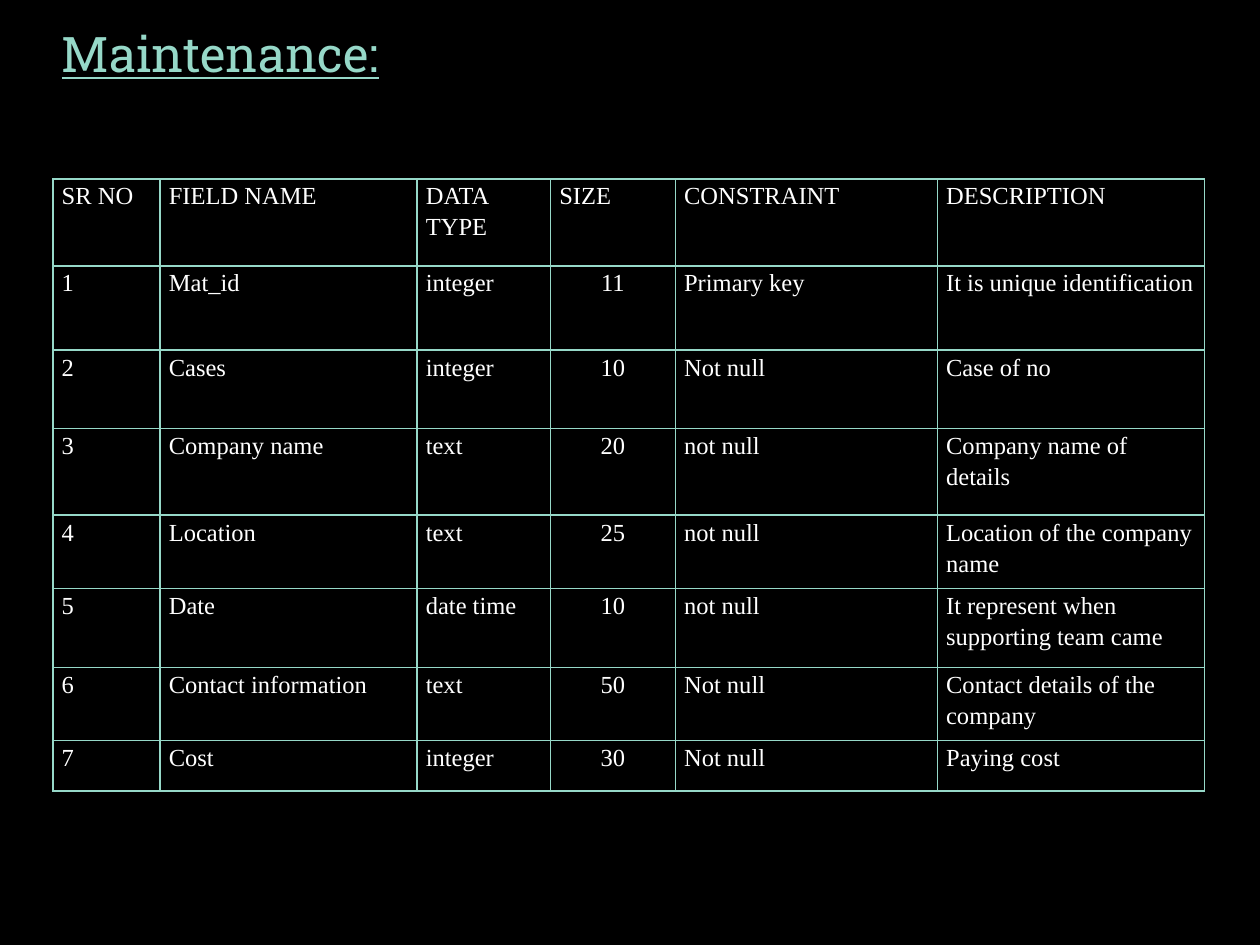
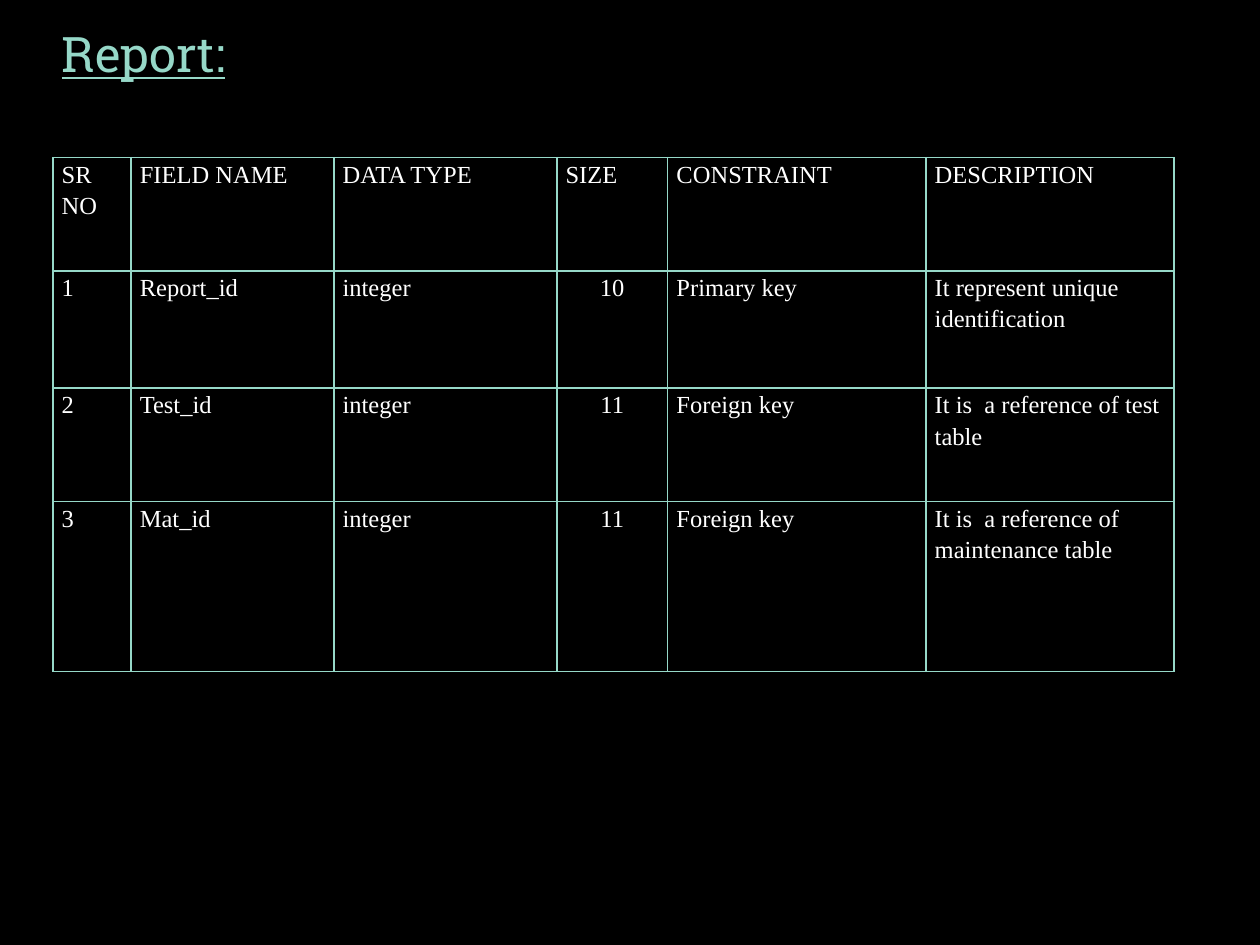
from dataclasses import dataclass

from lxml import etree
from pptx import Presentation
from pptx.dml.color import RGBColor
from pptx.enum.text import MSO_ANCHOR, MSO_AUTO_SIZE, PP_ALIGN
from pptx.oxml.ns import qn
from pptx.slide import Slide
from pptx.table import _Cell
from pptx.util import Inches, Pt

BLACK = RGBColor(0x00, 0x00, 0x00)
WHITE = RGBColor(0xFF, 0xFF, 0xFF)
MINT = RGBColor(0x96, 0xD8, 0xC8)

LEFT = PP_ALIGN.LEFT
CENTER = PP_ALIGN.CENTER
JUSTIFY = PP_ALIGN.JUSTIFY
TOP = MSO_ANCHOR.TOP
NO_AUTOFIT = MSO_AUTO_SIZE.NONE

TITLE_FONT = "Roboto Slab"
TABLE_FONT = "Times New Roman"
TITLE_ONLY_LAYOUT = 5
TITLE_AREA = (0.39, 0.14, 5.23, 0.57)
TABLE_LEFT = 0.42
CELL_MARGIN = 0.07
BORDER_WIDTH = Pt(1)
BORDER_SIDES = ("a:lnL", "a:lnR", "a:lnT", "a:lnB")

HEADINGS = ("SR NO", "FIELD NAME", "DATA TYPE", "SIZE", "CONSTRAINT", "DESCRIPTION")
SIZE_COLUMN = HEADINGS.index("SIZE")


@dataclass(frozen=True)
class Field:
    name: str
    data_type: str
    size: int
    constraint: str
    description: str


@dataclass(frozen=True)
class DataTable:
    title: str
    top: float
    column_widths: tuple[float, ...]
    row_heights: tuple[float, ...]
    fields: tuple[Field, ...]

    def rows(self) -> list[tuple[str, ...]]:
        """Heading row followed by the numbered fields."""
        numbered = [
            (str(number), field.name, field.data_type, str(field.size),
             field.constraint, field.description)
            for number, field in enumerate(self.fields, start=1)
        ]
        return [HEADINGS, *numbered]


DATA_TABLES = (
    DataTable(
        title="Maintenance:",
        top=1.42,
        column_widths=(0.85, 2.04, 1.06, 0.99, 2.08, 2.12),
        row_heights=(0.69, 0.67, 0.62, 0.69, 0.58, 0.63, 0.58, 0.4),
        fields=(
            Field("Mat_id", "integer", 11, "Primary key", "It is unique identification"),
            Field("Cases", "integer", 10, "Not null", "Case of no"),
            Field("Company name", "text", 20, "not null", "Company name of details"),
            Field("Location", "text", 25, "not null", "Location of the company name"),
            Field("Date", "date time", 10, "not null",
                  "It represent when supporting team came"),
            Field("Contact information", "text", 50, "Not null",
                  "Contact details of the company"),
            Field("Cost", "integer", 30, "Not null", "Paying cost"),
        ),
    ),
    DataTable(
        title="Report:",
        top=1.25,
        column_widths=(0.62, 1.61, 1.77, 0.88, 2.05, 1.97),
        row_heights=(0.9, 0.93, 0.9, 1.35),
        fields=(
            Field("Report_id", "integer", 10, "Primary key",
                  "It represent unique identification"),
            Field("Test_id", "integer", 11, "Foreign key",
                  "It is  a reference of test table"),
            Field("Mat_id", "integer", 11, "Foreign key",
                  "It is  a reference of maintenance table"),
        ),
    ),
)


def write_text(frame, text: str, *, font: str, size: int, color: RGBColor,
               align: PP_ALIGN, underline: bool = False,
               line_spacing: float = 1.0) -> None:
    para = frame.paragraphs[0]
    para.alignment = align
    para.line_spacing = line_spacing
    span = para.add_run()
    span.text = text
    span.font.name = font
    span.font.size = Pt(size)
    span.font.color.rgb = color
    span.font.underline = underline


def add_title(page: Slide, text: str) -> None:
    box = page.shapes.title
    box.left, box.top, box.width, box.height = map(Inches, TITLE_AREA)
    frame = box.text_frame
    frame.word_wrap = True
    frame.auto_size = NO_AUTOFIT
    frame.vertical_anchor = TOP
    write_text(frame, text, font=TITLE_FONT, size=28, color=MINT,
               align=JUSTIFY, underline=True)


def add_borders(cell: _Cell) -> None:
    properties = cell._tc.get_or_add_tcPr()
    for side in BORDER_SIDES:
        line = etree.SubElement(properties, qn(side), w=str(BORDER_WIDTH))
        fill = etree.SubElement(line, qn("a:solidFill"))
        etree.SubElement(fill, qn("a:srgbClr"), val=str(MINT))


def fill_cell(cell: _Cell, text: str, align: PP_ALIGN) -> None:
    cell.margin_left = cell.margin_right = Inches(CELL_MARGIN)
    cell.margin_top = cell.margin_bottom = 0
    add_borders(cell)
    cell.fill.background()
    write_text(cell.text_frame, text, font=TABLE_FONT, size=14, color=WHITE,
               align=align, line_spacing=1.15)


def add_data_table(page: Slide, data: DataTable) -> None:
    widths, heights = data.column_widths, data.row_heights
    table = page.shapes.add_table(
        len(heights), len(widths), Inches(TABLE_LEFT), Inches(data.top),
        Inches(sum(widths)), Inches(sum(heights))).table
    table.first_row = table.horz_banding = False
    for column, width in zip(table.columns, widths):
        column.width = Inches(width)
    for row, height in zip(table.rows, heights):
        row.height = Inches(height)
    for row_index, texts in enumerate(data.rows()):
        for column_index, text in enumerate(texts):
            centered = row_index > 0 and column_index == SIZE_COLUMN
            fill_cell(table.cell(row_index, column_index), text,
                      CENTER if centered else LEFT)


def main() -> None:
    deck = Presentation()
    deck.slide_width, deck.slide_height = Inches(10), Inches(7.5)
    background = deck.slide_master.background.fill
    background.solid()
    background.fore_color.rgb = BLACK
    for data in DATA_TABLES:
        page = deck.slides.add_slide(deck.slide_layouts[TITLE_ONLY_LAYOUT])
        add_title(page, data.title)
        add_data_table(page, data)
    deck.save("out.pptx")


if __name__ == "__main__":
    main()
